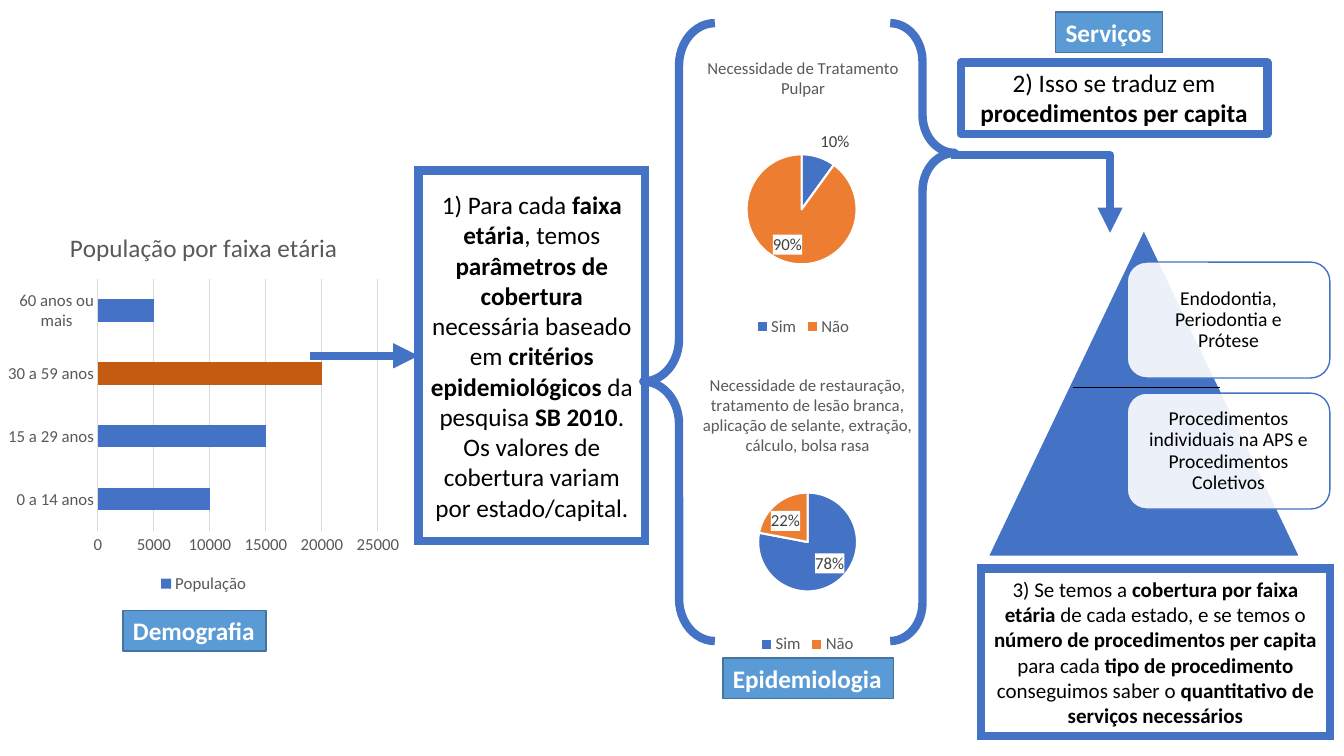
import pptx
import pptx.chart.data
import pptx.dml.color
import pptx.enum.chart
import pptx.enum.shapes
import pptx.enum.text
import pptx.oxml
import pptx.oxml.ns
import pptx.util

COLORS = {
    "blue": "4472C4", "orange": "ED7D31", "rust": "C55A11", "tag": "5B9BD5",
    "tag_edge": "43739E", "grid": "D9D9D9", "gray": "595959", "label": "404040",
    "black": "000000", "white": "FFFFFF",
}
EMU_PER_PX = 9144
SHAPES = pptx.enum.shapes.MSO_SHAPE
CONNECTORS = pptx.enum.shapes.MSO_CONNECTOR
CHARTS = pptx.enum.chart.XL_CHART_TYPE
ALIGN = pptx.enum.text.PP_ALIGN
ANCHOR = pptx.enum.text.MSO_ANCHOR
FIT = pptx.enum.text.MSO_AUTO_SIZE


def px(*values):
    return [pptx.util.Emu(value * EMU_PER_PX) for value in values]


def color(name):
    return pptx.dml.color.RGBColor.from_string(COLORS[name])


def xml(tag, content="", **attributes):
    prefix = tag.split(":")[0]
    values = "".join(f' {name}="{value}"' for name, value in attributes.items())
    return pptx.oxml.parse_xml(
        f"<{tag} {pptx.oxml.ns.nsdecls(*dict.fromkeys([prefix, 'a']))}{values}>{content}</{tag}>")


def set_values(target, values):
    for name, value in values.items():
        setattr(target, name, value)


def set_fill(target, name):
    if name is None:
        target.fill.background()
    else:
        target.fill.solid()
        target.fill.fore_color.rgb = color(name)


def set_line(line, name, width):
    line.color.rgb = color(name)
    line.width = pptx.util.Pt(width)


class SlideBuilder:
    font_name = "Calibri"

    def __init__(self, slide):
        self.slide = slide

    def set_font(self, font, size, name, bold=False):
        set_values(font, {"name": self.font_name, "size": pptx.util.Pt(size), "bold": bold})
        font.color.rgb = color(name)

    def shape(self, kind, bounds, fill=None, line="blue", width=6, adjustments=(), flip=False):
        shape = self.slide.shapes.add_shape(kind, *px(*bounds))
        shape.shadow.inherit = False
        set_fill(shape, fill)
        set_line(shape.line, line, width)
        for index, value in enumerate(adjustments):
            shape.adjustments[index] = value
        if flip:
            shape._element.spPr.xfrm.set("flipH", "1")
        return shape

    def text(self, shape, content, size, name="black", bold=False, alignment=ALIGN.CENTER,
             spacing=1.0, **frame_values):
        frame = shape.text_frame
        set_values(frame, {"word_wrap": True, "vertical_anchor": ANCHOR.MIDDLE, **frame_values})
        paragraph = frame.paragraphs[0]
        set_values(paragraph, {"alignment": alignment, "line_spacing": spacing})
        for index, part in enumerate(content.split("**")):
            if part:
                run = paragraph.add_run()
                run.text = part
                self.set_font(run.font, size, name, bold or index % 2 == 1)

    def box(self, bounds, content, size, mitered=True, **frame_values):
        shape = self.shape(SHAPES.RECTANGLE, bounds)
        if mitered:
            shape.line._get_or_add_ln().append(xml("a:miter", lim=800000))
        self.text(shape, content, size, **frame_values)

    def tag(self, bounds, content):
        shape = self.shape(SHAPES.RECTANGLE, bounds, "tag", "tag_edge", 1)
        self.text(shape, content, 18, "white", True, ALIGN.LEFT, word_wrap=False,
                  vertical_anchor=ANCHOR.TOP, auto_size=FIT.SHAPE_TO_FIT_TEXT)

    def level(self, bounds, content):
        shape = self.shape(SHAPES.ROUNDED_RECTANGLE, bounds, "white", "blue", 1)
        fill_color = shape._element.spPr.find(".//" + pptx.oxml.ns.qn("a:srgbClr"))
        fill_color.append(xml("a:alpha", val=90000))
        margins = dict.fromkeys(
            ["margin_left", "margin_right", "margin_top", "margin_bottom"], px(11)[0])
        self.text(shape, content, 14, spacing=0.9, **margins)

    def connector(self, start, end, line="blue", width=6, arrow=True, bent=False):
        kind = CONNECTORS.ELBOW if bent else CONNECTORS.STRAIGHT
        connector = self.slide.shapes.add_connector(kind, *px(*start, *end))
        set_line(connector.line, line, width)
        properties = connector._element.spPr
        properties.append(xml("a:effectLst"))
        if bent:
            properties.find(pptx.oxml.ns.qn("a:prstGeom")).set("prst", "bentConnector2")
        if arrow:
            connector.line._get_or_add_ln().append(xml("a:tailEnd", type="triangle"))

    def chart(self, kind, bounds, title, title_size, series_name, values_by_category):
        data = pptx.chart.data.CategoryChartData()
        data.categories = list(values_by_category)
        data.add_series(series_name, list(values_by_category.values()))
        chart = self.slide.shapes.add_chart(kind, *px(*bounds), data).chart
        self.set_font(chart.font, 10, "black")
        chart.has_title = True
        chart.chart_title.include_in_layout = False
        frame = chart.chart_title.text_frame
        frame.text = title
        self.set_font(frame.paragraphs[0].runs[0].font, title_size, "gray")
        chart.has_legend = True
        set_values(chart.legend, {"position": pptx.enum.chart.XL_LEGEND_POSITION.BOTTOM,
                                  "include_in_layout": False})
        self.set_font(chart.legend.font, 12, "gray")
        return chart

    def bar_chart(self, bounds, title, series_name, values_by_category, highlight):
        chart = self.chart(CHARTS.BAR_CLUSTERED, bounds, title, 18, series_name,
                           values_by_category)
        plot = chart.plots[0]
        set_values(plot, {"gap_width": 182, "vary_by_categories": False})
        series = plot.series[0]
        series.invert_if_negative = False
        set_fill(series.format, "blue")
        set_fill(series.points[highlight].format, "rust")
        for axis in (chart.category_axis, chart.value_axis):
            axis.major_tick_mark = pptx.enum.chart.XL_TICK_MARK.NONE
            self.set_font(axis.tick_labels.font, 12, "gray")
        set_line(chart.category_axis.format.line, "grid", 0.75)
        set_values(chart.value_axis, {"minimum_scale": 0, "maximum_scale": 25000,
                                      "major_unit": 5000, "has_major_gridlines": True})
        chart.value_axis.format.line.fill.background()
        set_line(chart.value_axis.major_gridlines.format.line, "grid", 0.75)

    def pie_chart(self, bounds, title, yes, layout=None):
        chart = self.chart(CHARTS.PIE, bounds, title, 12, "Series 1",
                           {"Sim": yes, "Não": 100 - yes})
        plot = chart.plots[0]
        plot.vary_by_categories = True
        for index, name in enumerate(["blue", "orange"]):
            point = plot.series[0].points[index]
            set_fill(point.format, name)
            set_line(point.format.line, "white", 1.5)
        labels = plot.series[0].data_labels
        set_values(labels, {"show_percentage": True, "show_value": False,
                            "number_format": "0%", "number_format_is_linked": False,
                            "position": pptx.enum.chart.XL_LABEL_POSITION.BEST_FIT})
        self.set_font(labels.font, 12, "label")
        background = f'<a:solidFill><a:srgbClr val="{COLORS["white"]}"/></a:solidFill>'
        labels._element.find(pptx.oxml.ns.qn("c:txPr")).addprevious(xml("c:spPr", background))
        if layout:
            modes = '<c:layoutTarget val="inner"/><c:xMode val="edge"/><c:yMode val="edge"/>'
            sizes = "".join(f'<c:{key} val="{value}"/>' for key, value in zip("xywh", layout))
            area = chart._chartSpace.chart.plotArea
            for old_layout in area.findall(pptx.oxml.ns.qn("c:layout")):
                area.remove(old_layout)
            area.insert(0, xml("c:layout", f"<c:manualLayout>{modes}{sizes}</c:manualLayout>"))


def main():
    presentation = pptx.Presentation()
    presentation.slide_width, presentation.slide_height = px(1333, 750)
    builder = SlideBuilder(presentation.slides.add_slide(presentation.slide_layouts[6]))

    builder.bar_chart(
        (0, 211, 404, 382), "População por faixa etária", "População",
        {"0 a 14 anos": 10000, "15 a 29 anos": 15000, "30 a 59 anos": 20000,
         "60 anos ou mais": 5000}, highlight=2)
    builder.box(
        (415, 169, 225, 368),
        "1) Para cada **faixa etária**, temos **parâmetros de cobertura **necessária baseado em "
        "**critérios epidemiológicos **da pesquisa **SB 2010**. Os valores de cobertura variam "
        "por estado/capital.", 18)
    builder.pie_chart((649, 42, 295, 296), "Necessidade de Tratamento Pulpar", 10,
                      (0.31, 0.34, 0.37, 0.44))
    builder.pie_chart(
        (659, 357, 284, 296),
        "Necessidade de restauração, tratamento de lesão branca, aplicação de selante, "
        "extração, cálculo, bolsa rasa", 78)
    builder.connector((307, 353), (415, 353))
    builder.shape(SHAPES.LEFT_BRACE, (638, 23, 71, 613), adjustments=(0.59, 0.58))

    builder.shape(SHAPES.ISOSCELES_TRIANGLE, (980, 228, 309, 324), "blue", "white", 1)
    levels = ["Endodontia, Periodontia e Prótese",
              "Procedimentos individuais na APS e Procedimentos Coletivos"]
    for index, content in enumerate(levels):
        builder.level((1118, 260 + 130 * index, 201, 115), content)

    builder.shape(SHAPES.LEFT_BRACE, (883, 23, 64, 613), adjustments=(0.59, 0.21), flip=True)
    builder.connector((943, 154), (1101, 231), bent=True)
    builder.box((953, 62, 304, 71), "2) Isso se traduz em **procedimentos per capita**", 18,
                mitered=False, vertical_anchor=ANCHOR.TOP, auto_size=FIT.SHAPE_TO_FIT_TEXT)
    builder.tag((122, 606, 142, 40), "Demografia")
    builder.tag((717, 653, 169, 40), "Epidemiologia")
    builder.tag((1047, 12, 106, 40), "Serviços")
    builder.connector((1064, 384), (1210, 384), "black", 0.5, arrow=False)
    builder.box(
        (973, 564, 346, 166),
        "3) Se temos a **cobertura por faixa etária **de cada estado, e se temos o **número de "
        "procedimentos per capita** para cada **tipo de procedimento **conseguimos saber o "
        "**quantitativo de serviços necessários**", 15)
    presentation.save("out.pptx")


if __name__ == "__main__":
    main()
